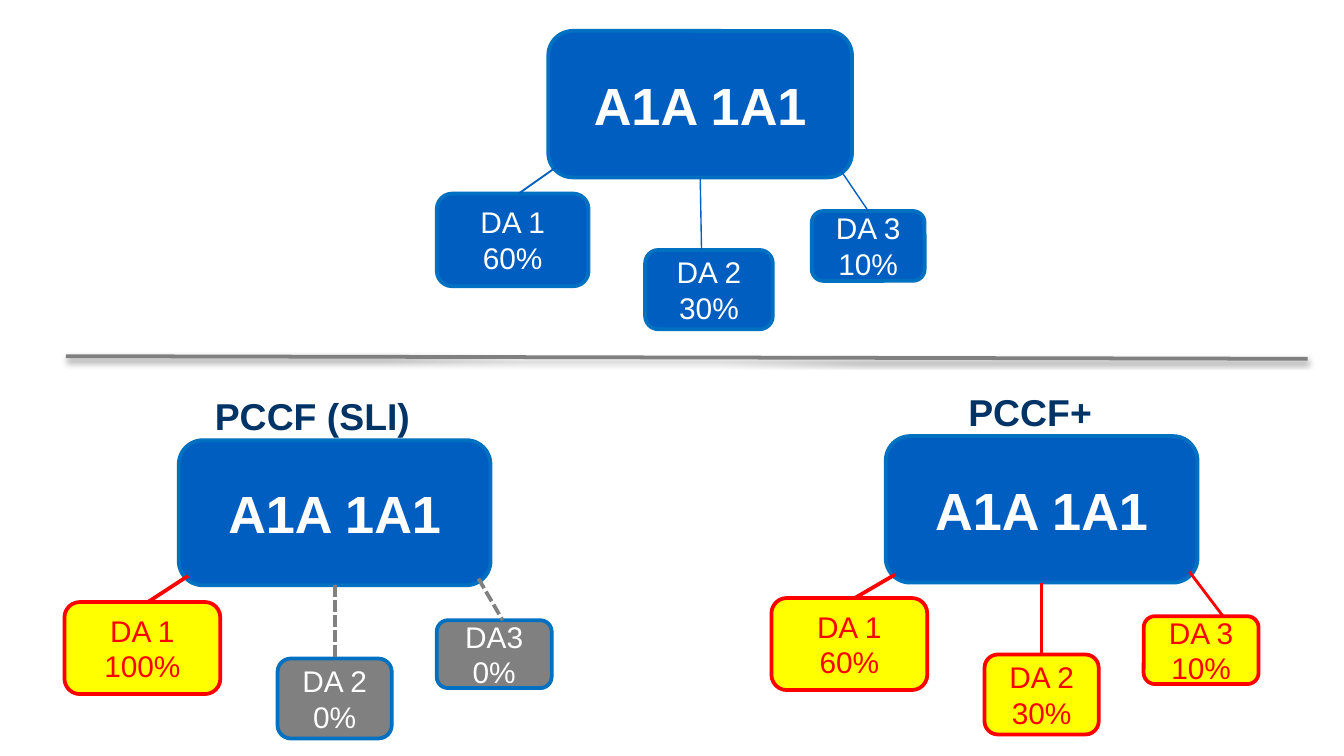
from dataclasses import dataclass
from lxml.etree import SubElement as Sub
from pptx import Presentation as Deck
from pptx.dml.color import RGBColor as Rgb
from pptx.enum.dml import MSO_LINE as Dash
from pptx.enum.shapes import MSO_CONNECTOR as Wire, MSO_SHAPE as Form
from pptx.enum.text import MSO_ANCHOR as Anchor, PP_ALIGN as Align
from pptx.oxml.ns import qn
from pptx.util import Inches, Pt

CELL = Inches(0.1)
COLS, ROWS = 100, 56.25


@dataclass(frozen=True)
class Theme:
    font: str = "Arial"
    root: int = 28
    head: int = 20
    leaf: int = 16
    edge: float = 2
    blue: str = "005EC0"
    rim: str = "0070C0"
    navy: str = "003366"
    red: str = "FF0000"
    gold: str = "FFFF00"
    gray: str = "808080"
    white: str = "FFFFFF"


T = Theme()


@dataclass(frozen=True)
class Look:
    fill: str
    rim: str
    ink: str
    wire: str
    dash: bool = False


BASE = Look(T.blue, T.rim, T.white, T.blue)
HOT = Look(T.gold, T.red, T.red, T.red)
OFF = Look(T.gray, T.rim, T.white, T.gray, True)

TOP = ((-8.3, 12.1, 11.3, 6.9), (7.2, 16.3, 9.5, 5.9), (19.6, 13.4, 8.4, 5.2))
LOW = ((-8.5, 12.05, 11.6, 6.85), (7.35, 16.25, 8.5, 5.95), (19.2, 13.4, 8.55, 5.05))


def cells(*nums):
    return [round(n * CELL) for n in nums]


def write(frame, text, size, ink, bold=False):
    frame.word_wrap = True
    frame.text = text
    for para in frame.paragraphs:
        para.alignment = Align.CENTER
        font = para.font
        font.name, font.size, font.bold = T.font, Pt(size), bold
        font.color.rgb = Rgb.from_string(ink)


def block(pool, area, text, look, size, bold=False):
    box = pool.add_shape(Form.ROUNDED_RECTANGLE, *cells(*area))
    box.shadow.inherit = False
    box.fill.solid()
    box.fill.fore_color.rgb = Rgb.from_string(look.fill)
    box.line.color.rgb = Rgb.from_string(look.rim)
    box.line.width = Pt(T.edge)
    box.text_frame.vertical_anchor = Anchor.MIDDLE
    write(box.text_frame, text, size, look.ink, bold)
    return box


def wire(pool, start, end, ink, width, dash=False):
    line = pool.add_connector(Wire.STRAIGHT, *cells(*start, *end))
    line.line.color.rgb = Rgb.from_string(ink)
    line.line.width = Pt(width)
    if dash:
        line.line.dash_style = Dash.SQUARE_DOT
    Sub(line._element.spPr, qn("a:effectLst"))
    return line


def near(box, col):
    return abs(box.left + box.width / 2 - col * CELL) < CELL / 5


def tree(slide, area, spots, leaves):
    pool = slide.shapes.add_group_shape().shapes
    left, top, wide, high = area
    boxes = [
        block(pool, (left + x, top + y, w, h), text, look, T.leaf)
        for (x, y, w, h), (text, look, *_) in zip(spots, leaves)
    ]
    root = block(pool, area, "A1A 1A1", BASE, T.root, True)
    for box, spot, (_, look, width, joint, foot) in zip(boxes, spots, leaves):
        start = left + joint[0], top + joint[1]
        end = left + foot, top + spot[1]
        line = wire(pool, start, end, look.wire, width, look.dash)
        if joint == (wide / 2, high):
            line.begin_connect(root, 2)
        if near(box, end[0]):
            line.end_connect(box, 0)


def title(slide, area, text):
    box = slide.shapes.add_textbox(*cells(*area))
    write(box.text_frame, text, T.head, T.navy, True)


def rule(slide):
    line = wire(slide.shapes, (4.9, 26.5), (97.3, 26.7), T.gray, T.edge)
    glow = Sub(
        line._element.spPr.find(qn("a:effectLst")), qn("a:outerShdw"),
        blurRad=str(Pt(3.1)), dist=str(Pt(1.6)), dir="5400000", rotWithShape="0",
    )
    tint = Sub(glow, qn("a:srgbClr"), val="000000")
    Sub(tint, qn("a:alpha"), val="38000")


def main():
    deck = Deck()
    deck.slide_width, deck.slide_height = cells(COLS, ROWS)
    slide = deck.slides.add_slide(deck.slide_layouts[6])
    tree(slide, (40.8, 2.3, 22.6, 10.9), TOP, (
        ("DA 1\n60%", BASE, 1, (1.2, 9.7), -2.2),
        ("DA 2\n30%", BASE, 0.75, (11.3, 10.9), 11.4),
        ("DA 3\n10%", BASE, 0.75, (21.5, 10), 23.6),
    ))
    tree(slide, (13.3, 32.75, 23.2, 10.8), LOW, (
        ("DA 1\n100%", HOT, 2, (0.7, 10.1), -2.3),
        ("DA 2 0%", OFF, 2, (11.6, 10.8), 11.6),
        ("DA3\n0%", OFF, 2, (22.3, 10.3), 24.1),
    ))
    title(slide, (14.2, 28.8, 18.1, 4.4), "PCCF (SLI)")
    title(slide, (67.6, 28.5, 18.1, 4.4), "PCCF+")
    tree(slide, (65.9, 32.45, 23.2, 10.9), LOW, (
        ("DA 1\n60%", HOT, 2, (0.7, 10.3), -2.3),
        ("DA 2\n30%", HOT, 1.5, (11.6, 10.9), 11.6),
        ("DA 3\n10%", HOT, 1.5, (22.6, 10.1), 25.1),
    ))
    rule(slide)
    deck.save("out.pptx")


if __name__ == "__main__":
    main()
